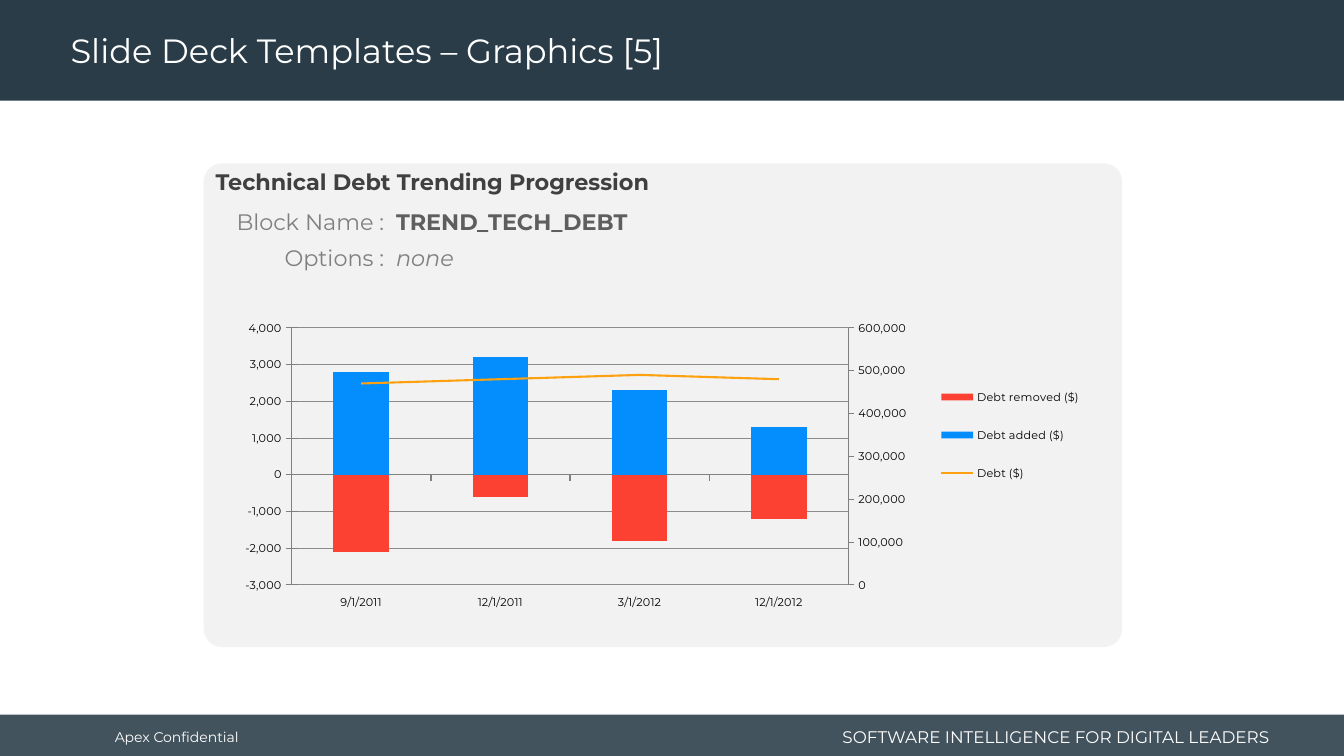
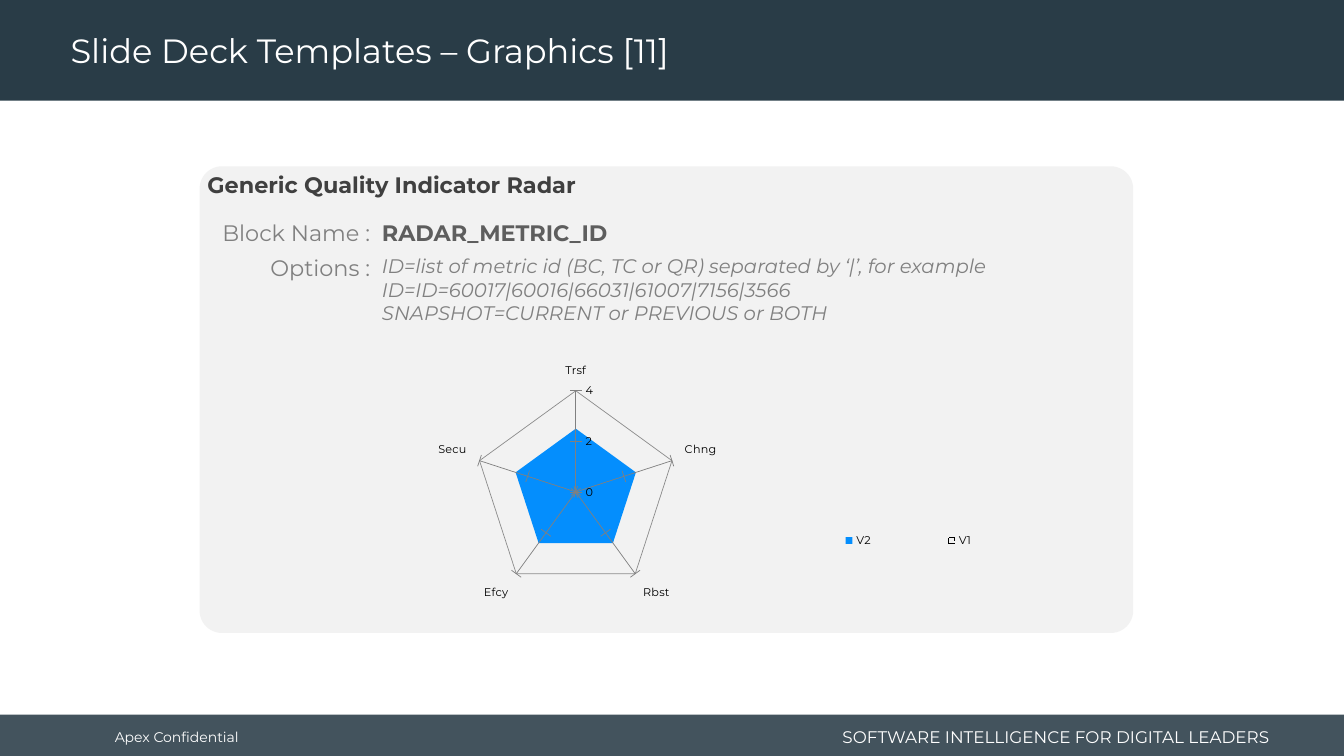
import copy

import pptx
import pptx.chart.data
import pptx.dml.color
import pptx.enum.chart
import pptx.enum.dml
import pptx.enum.shapes
import pptx.enum.text
import pptx.oxml
import pptx.oxml.ns
import pptx.util
from lxml import etree

Inches, Pt = pptx.util.Inches, pptx.util.Pt
RGB = pptx.dml.color.RGBColor
qn = pptx.oxml.ns.qn
XL = pptx.enum.chart
SHAPE = pptx.enum.shapes.MSO_SHAPE
ALIGN = pptx.enum.text.PP_ALIGN
ANCHOR = pptx.enum.text.MSO_ANCHOR

FONT = "Montserrat"
NAVY = RGB(0x29, 0x3C, 0x47)
WHITE = RGB(0xFF, 0xFF, 0xFF)
BLACK = RGB(0, 0, 0)
PANEL = RGB(0xF2, 0xF2, 0xF2)
HEADING = RGB(0x40, 0x40, 0x40)
NAME = RGB(0x5E, 0x5E, 0x5E)
GREY = RGB(0x80, 0x80, 0x80)
GRID = RGB(0x8C, 0x8C, 0x8C)
RED = RGB(0xFC, 0x41, 0x32)
BLUE = RGB(0x04, 0x8E, 0xFD)
ORANGE = RGB(0xFD, 0xA1, 0x10)

SLIDE_W, SLIDE_H = 13.33, 7.5
ROW_H, ROW_PITCH = 0.37, 0.35


def write(tf, text, size=16, color=GREY, bold=False, italic=False,
          align=ALIGN.LEFT, anchor=ANCHOR.TOP, spacing=None):
    """Fill a text frame, one paragraph for each line of text."""
    tf.word_wrap = True
    tf.auto_size = pptx.enum.text.MSO_AUTO_SIZE.NONE
    tf.vertical_anchor = anchor
    for i, line in enumerate(text.split("\n")):
        p = tf.add_paragraph() if i else tf.paragraphs[0]
        p.alignment = align
        p.line_spacing = spacing
        r = p.add_run()
        r.text = line
        r.font.name, r.font.size = FONT, Pt(size)
        r.font.bold, r.font.italic = bold, italic
        r.font.color.rgb = color


def add_text(s, x, y, w, h, text, **fmt):
    """Add a text box."""
    write(s.shapes.add_textbox(Inches(x), Inches(y), Inches(w), Inches(h)).text_frame,
          text, **fmt)


def add_block(s, x, y, w, h, color, shape=SHAPE.RECTANGLE):
    """Add a plain filled shape without outline."""
    sp = s.shapes.add_shape(shape, Inches(x), Inches(y), Inches(w), Inches(h))
    sp.shadow.inherit = False
    sp.fill.solid()
    sp.fill.fore_color.rgb = color
    sp.line.fill.background()
    return sp


def add_slide(prs, title):
    """Add a slide with title band and footer band."""
    s = prs.slides.add_slide(prs.slide_layouts[5])
    footer = add_block(s, 0, 7.09, SLIDE_W, 0.44, NAVY)
    color = footer.element.xpath("p:spPr/a:solidFill/a:srgbClr")[0]
    etree.SubElement(color, qn("a:alpha")).set("val", "88000")
    add_block(s, 0, 0, SLIDE_W, 1, NAVY)
    add_text(s, 1.04, 7.11, 2, 0.4, "Apex Confidential", size=10, color=WHITE,
             anchor=ANCHOR.MIDDLE)
    add_text(s, 8.11, 7.15, 4.58, 0.32, "SOFTWARE INTELLIGENCE FOR DIGITAL LEADERS",
             size=12, color=WHITE, align=ALIGN.RIGHT, anchor=ANCHOR.MIDDLE)
    sp = s.shapes.title
    sp.left, sp.top, sp.width, sp.height = Inches(0.6), Inches(0.04), Inches(9.58), Inches(0.96)
    write(sp.text_frame, title, size=24, color=WHITE, anchor=ANCHOR.MIDDLE, spacing=0.9)
    sp.element.getparent().append(sp.element)
    return s


def add_panel(s, x, y, w, h, radius, heading, name, options,
              heading_x, value_x, row_y, options_size=16):
    """Add the rounded panel with its heading, block name and options."""
    add_block(s, x, y, w, h, PANEL, SHAPE.ROUNDED_RECTANGLE).adjustments[0] = radius
    add_text(s, x + heading_x, y, w - 0.4, ROW_H, heading, color=HEADING, bold=True)
    rows = [("Block Name :", name, dict(color=NAME, bold=True)),
            ("Options :", options, dict(size=options_size, italic=True))]
    for i, (label, value, fmt) in enumerate(rows):
        top = y + row_y + i * ROW_PITCH
        add_text(s, x + value_x - 1.72, top, 1.8, ROW_H, label, align=ALIGN.RIGHT)
        add_text(s, x + value_x, top, 7.4, ROW_H * (value.count("\n") + 1), value, **fmt)


def drop(element, tag):
    """Remove the children with a chart tag."""
    for child in element.findall(qn("c:" + tag)):
        element.remove(child)


def set_layout(element, x, y, w, h, inner=False):
    """Place a plot area or legend by fractions of the chart."""
    drop(element, "layout")
    layout = etree.Element(qn("c:layout"))
    manual = etree.SubElement(layout, qn("c:manualLayout"))
    fields = [("layoutTarget", "inner")] if inner else []
    fields += [("xMode", "edge"), ("yMode", "edge"), ("x", x), ("y", y), ("w", w), ("h", h)]
    for tag, val in fields:
        etree.SubElement(manual, qn("c:" + tag)).set("val", str(val))
    position = element.find(qn("c:legendPos"))
    element.insert(0 if position is None else 1, layout)


def style_line(line, color, width):
    """Set the colour and width of a line."""
    line.color.rgb = color
    line.width = Pt(width)


def add_chart(s, x, y, w, h, kind, cats, series, plot, legend):
    """Add a chart with the shared font, legend, grid and axis style."""
    data = pptx.chart.data.CategoryChartData()
    data.categories = cats
    for name, vals in series:
        data.add_series(name, vals)
    chart = s.shapes.add_chart(kind, Inches(x), Inches(y), Inches(w), Inches(h), data).chart
    chart.has_title = False
    chart.font.name, chart.font.size = FONT, Pt(8)
    chart.font.color.rgb = BLACK
    chart.plots[0].vary_by_categories = False
    chart.has_legend = True
    chart.legend.position = XL.XL_LEGEND_POSITION.BOTTOM
    chart.legend.position = XL.XL_LEGEND_POSITION.RIGHT
    chart.legend.include_in_layout = False
    set_layout(chart.element.xpath("c:chart/c:legend")[0], *legend)
    set_layout(chart.element.xpath("c:chart/c:plotArea")[0], *plot, inner=True)
    val = chart.value_axis
    val.has_major_gridlines = True
    val.major_tick_mark = XL.XL_TICK_MARK.CROSS
    style_line(val.major_gridlines.format.line, GRID, 0.5)
    style_line(val.format.line, GREY, 0.5)
    chart.category_axis.major_tick_mark = XL.XL_TICK_MARK.OUTSIDE
    return chart


def set_scale(axis, low, high, unit):
    """Set the range and major unit of a value axis."""
    axis.minimum_scale, axis.maximum_scale, axis.major_unit = low, high, unit


def move_to_right_axis(chart, low, high, unit):
    """Turn the last column series into a line on a right axis."""
    area = chart.element.xpath("c:chart/c:plotArea")[0]
    bar, cat, val = (area.find(qn("c:" + tag)) for tag in ("barChart", "catAx", "valAx"))
    ser = bar.findall(qn("c:ser"))[-1]
    drop(ser, "invertIfNegative")
    marker = etree.Element(qn("c:marker"))
    etree.SubElement(marker, qn("c:symbol")).set("val", "none")
    ser.find(qn("c:spPr")).addnext(marker)
    etree.SubElement(ser, qn("c:smooth")).set("val", "0")

    line = etree.Element(qn("c:lineChart"))
    etree.SubElement(line, qn("c:grouping")).set("val", "standard")
    etree.SubElement(line, qn("c:varyColors")).set("val", "0")
    line.append(ser)
    etree.SubElement(line, qn("c:marker")).set("val", "1")
    for axis_id in ("5001", "5002"):
        etree.SubElement(line, qn("c:axId")).set("val", axis_id)
    bar.addnext(line)

    chart.value_axis.major_tick_mark = XL.XL_TICK_MARK.OUTSIDE
    right, hidden = copy.deepcopy(val), copy.deepcopy(cat)
    chart.value_axis.major_tick_mark = XL.XL_TICK_MARK.CROSS
    drop(right, "majorGridlines")
    scaling = right.find(qn("c:scaling"))
    changes = [(hidden, {"axId": "5001", "crossAx": "5002", "delete": "1"}),
               (right, {"axId": "5002", "crossAx": "5001", "axPos": "r",
                        "crosses": "max", "majorUnit": str(unit)}),
               (scaling, {"min": str(low), "max": str(high)})]
    for element, values in changes:
        for tag, value in values.items():
            element.find(qn("c:" + tag)).set("val", value)
    val.addnext(right)
    right.addnext(hidden)


def debt_slide(prs):
    """Build the technical debt trend slide."""
    s = add_slide(prs, "Slide Deck Templates – Graphics [5]")
    x, y = 2.02, 1.62
    add_panel(s, x, y, 9.11, 4.8, 0.038, "Technical Debt Trending Progression",
              "TREND_TECH_DEBT", "none", heading_x=0.02, value_x=1.81, row_y=0.4)
    chart = add_chart(
        s, x + 0.07, y + 1.25, 8.91, 4.25, XL.XL_CHART_TYPE.COLUMN_CLUSTERED,
        ["9/1/2011", "12/1/2011", "3/1/2012", "12/1/2012"],
        [("Debt removed ($)", (-2100, -600, -1800, -1200)),
         ("Debt added ($)", (2800, 3200, 2300, 1300)),
         ("Debt ($)", (470000, 480000, 490000, 480000))],
        plot=(0.09, 0.09, 0.62, 0.6), legend=(0.8, 0.18, 0.18, 0.32))
    plot = chart.plots[0]
    plot.gap_width, plot.overlap = 150, 100
    removed, added, debt = plot.series
    for ser, color in ((removed, RED), (added, BLUE)):
        ser.invert_if_negative = False
        ser.format.fill.solid()
        ser.format.fill.fore_color.rgb = color
    style_line(debt.format.line, ORANGE, 1.5)
    cat, val = chart.category_axis, chart.value_axis
    cat.tick_label_position = XL.XL_TICK_LABEL_POSITION.LOW
    style_line(cat.format.line, GREY, 1)
    val.tick_labels.number_format = "#,##0"
    val.tick_labels.number_format_is_linked = False
    set_scale(val, -3000, 4000, 1000)
    move_to_right_axis(chart, 0, 600000, 100000)


def radar_slide(prs):
    """Build the quality indicator radar slide."""
    s = add_slide(prs, "Slide Deck Templates – Graphics [11]")
    x, y = 1.98, 1.65
    add_panel(s, x, y, 9.26, 4.63, 0.048, "Generic Quality Indicator Radar",
              "RADAR_METRIC_ID",
              "ID=list of metric id (BC, TC or QR) separated by ‘|’, for example "
              "ID=ID=60017|60016|66031|61007|7156|3566\n"
              "SNAPSHOT=CURRENT or PREVIOUS or BOTH",
              heading_x=-0.02, value_x=1.71, row_y=0.47, options_size=14)
    chart = add_chart(
        s, x + 0.67, y + 1.87, 7.95, 2.75, XL.XL_CHART_TYPE.RADAR_FILLED,
        ["Trsf", "Chng", "Rbst", "Efcy", "Secu"],
        [("V2", (2.5,) * 5), ("V1", (1.5,) * 5)],
        plot=(0.16, 0.13, 0.45, 0.73), legend=(0.63, 0.6, 0.34, 0.14))
    current, previous = chart.plots[0].series
    current.format.fill.solid()
    current.format.fill.fore_color.rgb = BLUE
    previous.format.fill.background()
    style_line(previous.format.line, BLACK, 1.25)
    previous.format.line.dash_style = pptx.enum.dml.MSO_LINE.LONG_DASH
    val = chart.value_axis
    set_scale(val, 0, 4, 2)
    val.tick_labels.number_format = "General"
    val.tick_labels.number_format_is_linked = False


def main():
    """Build and save the presentation."""
    prs = pptx.Presentation()
    prs.slide_width, prs.slide_height = Inches(SLIDE_W), Inches(SLIDE_H)
    debt_slide(prs)
    radar_slide(prs)
    prs.save("out.pptx")


if __name__ == "__main__":
    main()
